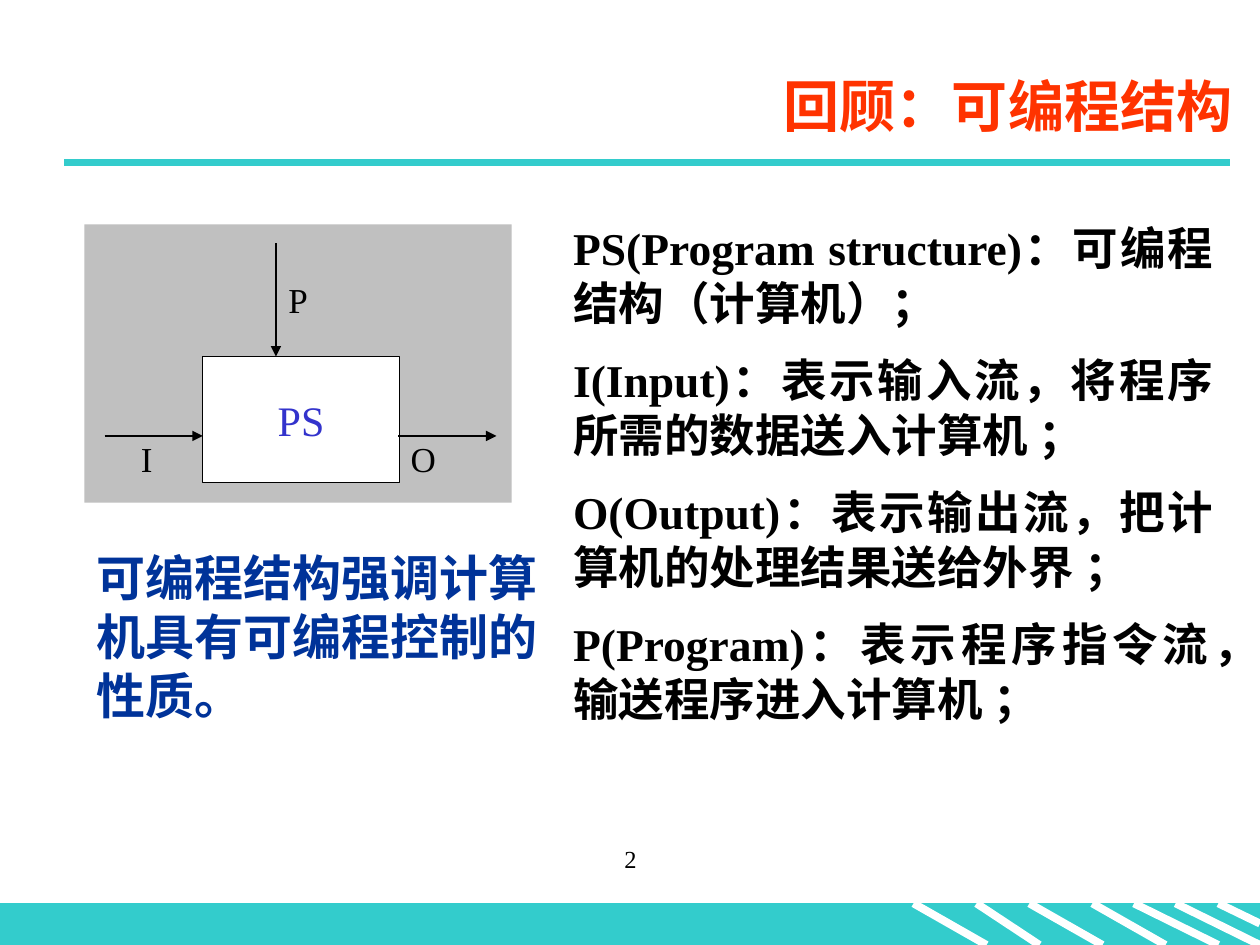
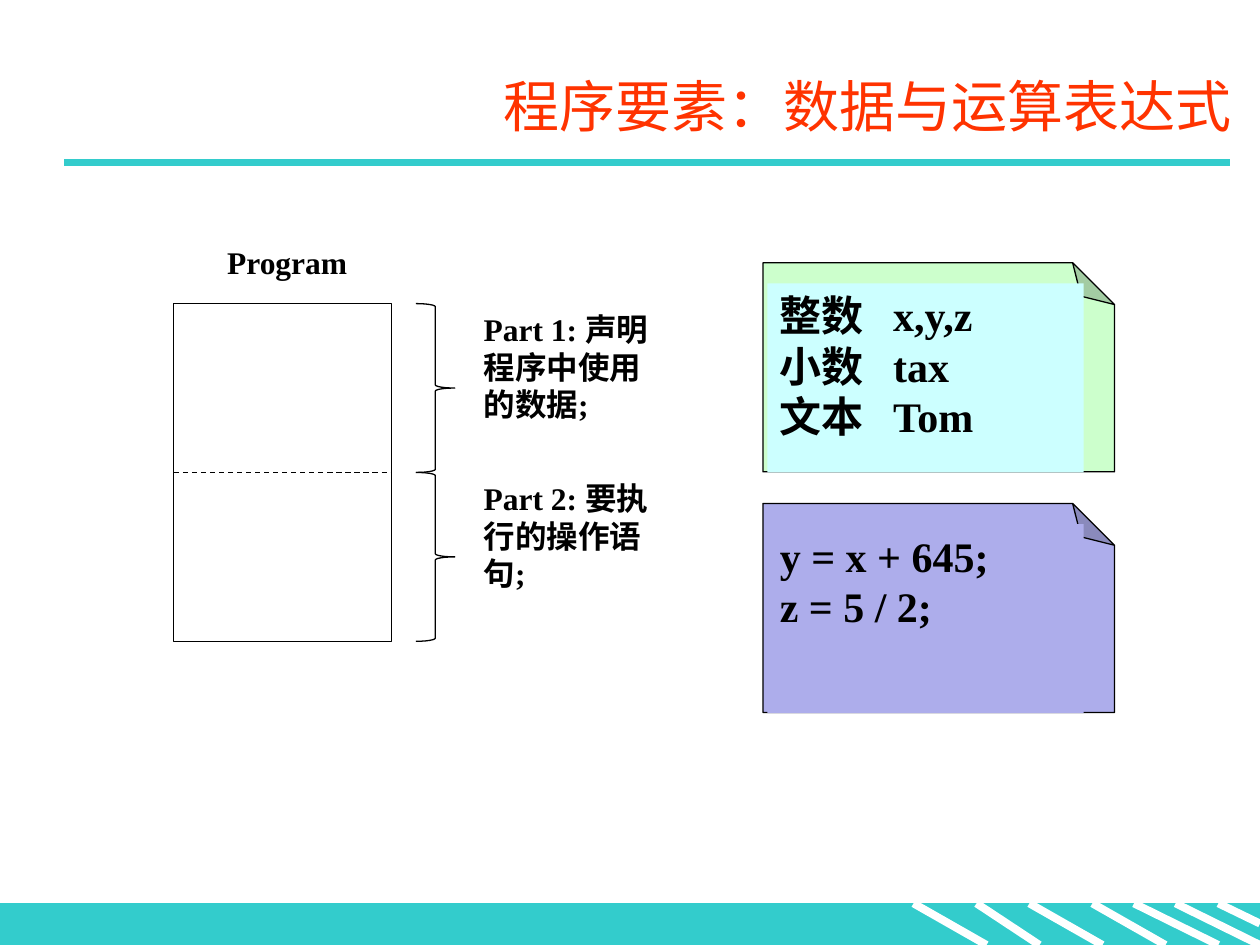
from lxml import etree
from pptx import Presentation
from pptx import util as u
from pptx.dml.color import RGBColor
from pptx.enum import dml, shapes, text
from pptx.oxml.ns import qn

LATIN, EAST_ASIAN = "Times New Roman", "Noto Sans CJK SC"
BLACK, WHITE, TEAL, TITLE_RED = "000000", "FFFFFF", "33CCCC", "FF3300"
NAVY, BLUE, GREY = "003399", "3333CC", "C0C0C0"
ALIGN = {"l": text.PP_ALIGN.LEFT, "c": text.PP_ALIGN.CENTER,
         "r": text.PP_ALIGN.RIGHT, "j": text.PP_ALIGN.JUSTIFY}

BAND_TOP, BAND_BOTTOM = 7.17, 7.5
STRIPES = [(7.25, 7.83, BAND_BOTTOM), (7.75, 8.25, BAND_BOTTOM),
           (8.17, 8.75, BAND_BOTTOM), (8.67, 9.25, BAND_BOTTOM),
           (9, 9.67, BAND_BOTTOM), (9.33, 10, BAND_BOTTOM), (9.67, 10, 7.33)]

REVIEW_TITLE = "回顾：可编程结构"
DEFINITIONS = [
    "PS(Program structure)：可编程结构（计算机）；",
    "I(Input)：表示输入流，将程序所需的数据送入计算机 ；",
    "O(Output)：表示输出流，把计算机的处理结果送给外界 ；",
    "P(Program)：表示程序指令流，输送程序进入计算机 ；",
]
SUMMARY = "可编程结构强调计算机具有可编程控制的性质。"
FLOWS = [
    ("I", (1.02, 3.42), (0.83, 3.46), (1.61, 3.46)),
    ("O", (3.16, 3.42), (3.16, 3.46), (3.94, 3.46)),
    ("P", (2.19, 2.16), (2.19, 1.93), (2.19, 2.83)),
]

ELEMENTS_TITLE = "程序要素：数据与运算表达式"
PARTS = [
    ("Part 1: 声明程序中使用的数据;", "CCFFCC", "CCFFFF",
     ["整数\tx,y,z", "小数\ttax", "文本\tTom"]),
    ("Part 2: 要执行的操作语句;", "ADADEB", "ADADEB",
     ["y = x + 645;", "z = 5 / 2;"]),
]


def color(hex_value):
    return RGBColor.from_string(hex_value)


def write(sp, paragraphs, size=18, fill=BLACK, bold=False, align="l",
          anchor=text.MSO_ANCHOR.TOP, gap=0, tab=None):
    tf = sp.text_frame
    tf.word_wrap = True
    tf.vertical_anchor = anchor
    for i, content in enumerate(paragraphs):
        p = tf.paragraphs[0] if i == 0 else tf.add_paragraph()
        p.alignment = ALIGN[align]
        if i and gap:
            p.space_before = u.Pt(gap)
        if tab:
            tabs = etree.SubElement(p._p.get_or_add_pPr(), qn("a:tabLst"))
            etree.SubElement(tabs, qn("a:tab"), pos=str(u.Inches(tab)), algn="l")
        r = p.add_run()
        r.text = content
        font = r.font
        font.size, font.bold, font.name = u.Pt(size), bold, LATIN
        font.color.rgb = color(fill)
        ea = etree.SubElement(r._r.get_or_add_rPr(), qn("a:ea"))
        ea.set("typeface", EAST_ASIAN)


def add_text(s, box, paragraphs, **fmt):
    sp = s.shapes.add_textbox(*map(u.Inches, box))
    write(sp, paragraphs, **fmt)
    return sp


def add_box(s, box, fill, line=None, kind=shapes.MSO_SHAPE.RECTANGLE):
    sp = s.shapes.add_shape(kind, *map(u.Inches, box))
    sp.shadow.inherit = False
    sp.fill.solid()
    sp.fill.fore_color.rgb = color(fill)
    if line:
        sp.line.color.rgb = color(line)
        sp.line.width = u.Pt(0.75)
    else:
        sp.line.fill.background()
    return sp


def adjust(sp, **values):
    guides = sp._element.spPr.find(qn("a:prstGeom")).find(qn("a:avLst"))
    for guide in list(guides):
        guides.remove(guide)
    for name, value in values.items():
        etree.SubElement(guides, qn("a:gd"), name=name,
                         fmla=f"val {round(value * 100000)}")


def add_line(s, start, end, fill=BLACK, width=0.75, arrow=False, dashed=False):
    cn = s.shapes.add_connector(shapes.MSO_CONNECTOR.STRAIGHT,
                                *map(u.Inches, (*start, *end)))
    cn.line.color.rgb = color(fill)
    cn.line.width = u.Pt(width)
    if dashed:
        cn.line.dash_style = dml.MSO_LINE.DASH
    if arrow:
        etree.SubElement(cn.line._get_or_add_ln(), qn("a:tailEnd"), type="triangle")
    etree.SubElement(cn._element.spPr, qn("a:effectLst"))


def add_slide(prs, title, bold):
    s = prs.slides.add_slide(prs.slide_layouts[6])
    add_box(s, (0, BAND_TOP, 10, BAND_BOTTOM - BAND_TOP), TEAL, TEAL)
    for x1, x2, bottom in STRIPES:
        add_line(s, (x1, BAND_TOP), (x2, bottom), WHITE, 4.5)
    add_line(s, (0.51, 1.29), (9.76, 1.29), TEAL, 4.5)
    add_text(s, (1.38, 0.44, 8.5, 0.79), [title], size=32, fill=TITLE_RED,
             bold=bold, align="r", anchor=text.MSO_ANCHOR.MIDDLE)
    return s


def build_review(prs):
    s = add_slide(prs, REVIEW_TITLE, bold=True)
    add_text(s, (3.42, 6.65, 3.17, 0.5), ["2"], size=14, align="c")
    add_text(s, (4.45, 1.7, 5.28, 4.88), DEFINITIONS, size=26, bold=True,
             align="j", gap=13)
    add_box(s, (0.67, 1.78, 3.39, 2.21), GREY)
    structure = add_box(s, (1.61, 2.83, 1.56, 1), WHITE, BLACK)
    write(structure, ["PS"], size=24, fill=BLUE, align="c",
          anchor=text.MSO_ANCHOR.MIDDLE)
    for label, corner, start, end in FLOWS:
        add_line(s, start, end, arrow=True)
        add_text(s, (*corner, 0.59, 0.67), [label], size=20, align="j")
    add_text(s, (0.67, 4.3, 3.7, 1.5), [SUMMARY], size=28, fill=NAVY, bold=True)


def build_elements(prs):
    s = add_slide(prs, ELEMENTS_TITLE, bold=False)
    left, top, width, part_h = 1.38, 2.41, 1.73, 1.34
    add_box(s, (left, top, width, part_h * len(PARTS)), WHITE, BLACK)
    add_text(s, (left, 1.88, 1.8, 0.4), ["Program"], bold=True, align="c")
    add_line(s, (left, top + part_h), (left + width, top + part_h), dashed=True)
    for i, (caption, note_fill, code_fill, code) in enumerate(PARTS):
        part_top, note_shift = top + i * part_h, i * 1.91
        brace = add_box(s, (3.3, part_top, 0.31, part_h), WHITE, BLACK,
                        shapes.MSO_SHAPE.RIGHT_BRACE)
        adjust(brace, adj1=0.08, adj2=0.5)
        add_text(s, (3.74, part_top, 1.68, 1.01), [caption], bold=True)
        note = add_box(s, (6.62, 1.52 + note_shift, 1.66, 2.79), note_fill, BLACK,
                       shapes.MSO_SHAPE.FOLDED_CORNER)
        adjust(note, adj=0.2)
        note.rotation = 270
        panel = add_box(s, (6.09, 2.25 + note_shift, 2.51, 1.5), code_fill)
        write(panel, code, size=24, bold=True, tab=0.9)


def main():
    prs = Presentation()
    prs.slide_width, prs.slide_height = u.Inches(10), u.Inches(7.5)
    build_review(prs)
    build_elements(prs)
    prs.save("out.pptx")


if __name__ == "__main__":
    main()
